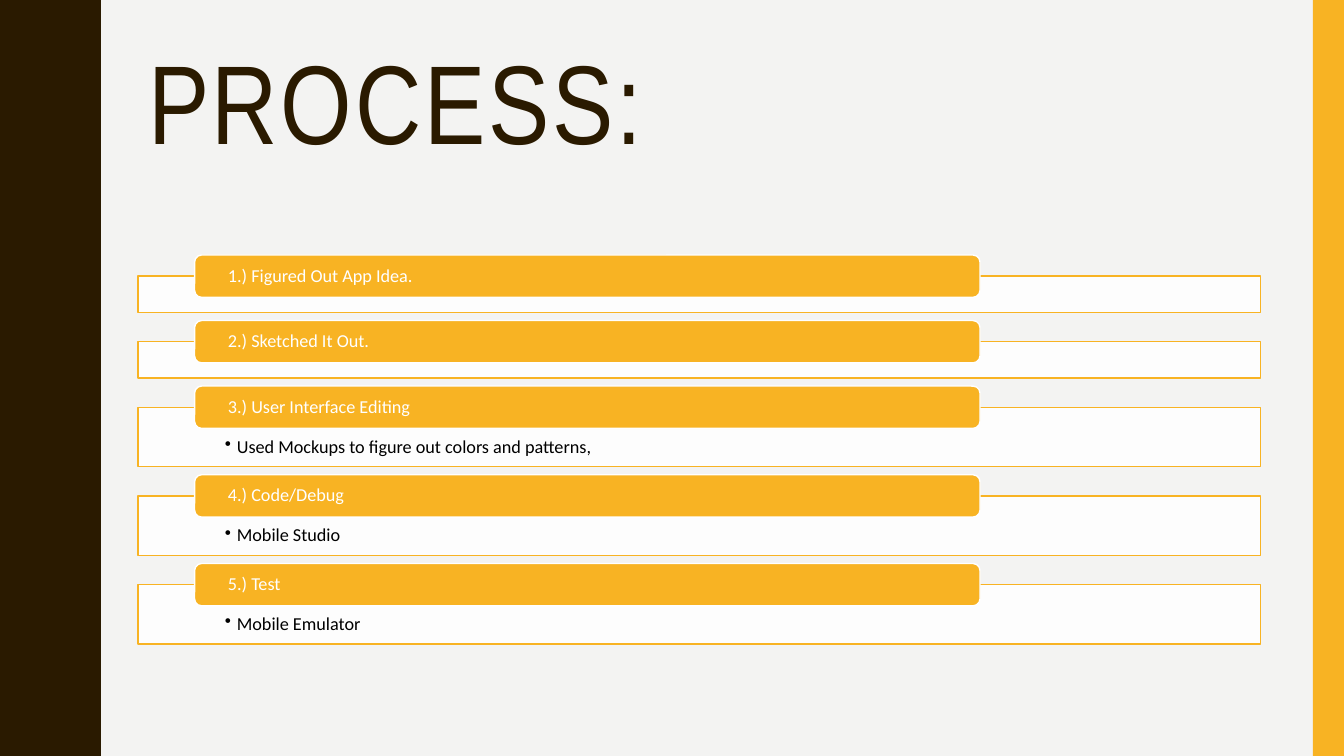
from dataclasses import dataclass

from lxml import etree
from pptx import Presentation
from pptx import util as u
from pptx.dml.color import RGBColor
from pptx.enum import shapes, text
from pptx.oxml import ns


@dataclass(frozen=True)
class Theme:
    back: str = "F3F3F2"
    dark: str = "2A1A00"
    gold: str = "F8B323"
    white: str = "FFFFFF"
    black: str = "000000"
    head: str = "Arial Narrow"
    body: str = "Calibri"
    big: int = 80
    small: int = 13


T = Theme()
WIDE, HIGH = 13.33, 7.5
LEFT, SPAN = 1.37, 11.13
TOP, GAP = 2.74, 0.29
LIFT = 0.21  # how far a tab rises above its box

STEPS = [
    ("1.) Figured Out App Idea.", None),
    ("2.) Sketched It Out.", None),
    ("3.) User Interface Editing", "Used Mockups to figure out colors and patterns,"),
    ("4.) Code/Debug", "Mobile Studio"),
    ("5.) Test", "Mobile Emulator"),
]

# First half of one wave of the left edge, as (x, y)
WAVE = [
    (0.78, 0), (0.78, 0.07), (0.79, 0.14), (0.8, 0.2), (0.81, 0.25),
    (0.83, 0.29), (0.85, 0.33), (0.87, 0.38), (0.89, 0.42), (0.91, 0.46),
    (0.93, 0.5), (0.95, 0.55), (0.96, 0.61), (0.97, 0.68), (0.97, 0.75),
]
PERIOD = 1.5


def rgb(code):
    return RGBColor.from_string(code)


def paint(shape, fill, line=None):
    shape.shadow.inherit = False
    shape.fill.solid()
    shape.fill.fore_color.rgb = rgb(fill)
    if line:
        shape.line.color.rgb = rgb(line)
        shape.line.width = u.Pt(1)
    else:
        shape.line.fill.background()


def add_box(slide, kind, place, fill, line=None):
    shape = slide.shapes.add_shape(kind, *map(u.Inches, place))
    paint(shape, fill, line)
    return shape


def write(shape, words, font, size, color, inset, anchor):
    """Fill a shape with one left-aligned line and return its paragraph and run."""
    frame = shape.text_frame
    frame.word_wrap = True
    frame.vertical_anchor = anchor
    (frame.margin_left, frame.margin_top,
     frame.margin_right, frame.margin_bottom) = map(u.Inches, inset)
    para = frame.paragraphs[0]
    para.alignment = text.PP_ALIGN.LEFT
    para.line_spacing = 0.9
    run = para.add_run()
    run.text = words
    run.font.name = font
    run.font.size = u.Pt(size)
    run.font.color.rgb = rgb(color)
    return para, run


def add_bullet(para):
    props = para._p.get_or_add_pPr()
    props.set("marL", str(u.Inches(0.12)))
    props.set("indent", str(u.Inches(-0.12)))
    etree.SubElement(props, ns.qn("a:buChar")).set("char", "•")


def add_wave(slide):
    crest = WAVE + [(x, PERIOD - y) for x, y in WAVE[-2::-1]]
    edge = [(x, y + i * PERIOD) for i in range(5) for x, y in crest]
    pen = slide.shapes.build_freeform(0, 0, scale=u.Inches(1))
    pen.add_line_segments(edge + [(0, HIGH)], close=True)
    paint(pen.convert_to_shape(), T.dark)


def add_title(slide, words):
    box = slide.shapes.add_textbox(*map(u.Inches, (LEFT, 0.42, SPAN, 1.63)))
    _, run = write(box, words, T.head, T.big, T.dark,
                   (0.1, 0.05, 0.1, 0.05), text.MSO_ANCHOR.TOP)
    run.font._element.set("spc", "200")


def add_step(slide, top, tall, label, note):
    kind = shapes.MSO_SHAPE
    box = add_box(slide, kind.RECTANGLE, (LEFT, top, SPAN, tall), T.white, T.gold)
    color = box.fill._xPr.find(".//" + ns.qn("a:srgbClr"))
    etree.SubElement(color, ns.qn("a:alpha")).set("val", "90000")
    if note:
        para, _ = write(box, note, T.body, T.small, T.black,
                        (0.86, 0.3, 0.86, 0.1), text.MSO_ANCHOR.TOP)
        add_bullet(para)
    tab = add_box(slide, kind.ROUNDED_RECTANGLE,
                  (LEFT + 0.56, top - LIFT, 7.79, 0.42), T.gold, T.white)
    write(tab, label, T.body, T.small, T.white,
          (0.31, 0, 0.31, 0), text.MSO_ANCHOR.MIDDLE)


def main():
    deck = Presentation()
    deck.slide_width, deck.slide_height = u.Inches(WIDE), u.Inches(HIGH)
    slide = deck.slides.add_slide(deck.slide_layouts[6])

    # Backdrop
    slide.background.fill.solid()
    slide.background.fill.fore_color.rgb = rgb(T.back)
    add_wave(slide)
    add_box(slide, shapes.MSO_SHAPE.RECTANGLE, (13.02, 0, 0.31, HIGH), T.gold)

    # Title and the stack of steps
    add_title(slide, "PROCESS:")
    top = TOP
    for label, note in STEPS:
        tall = 0.59 if note else 0.36
        add_step(slide, top, tall, label, note)
        top += tall + GAP

    deck.save("out.pptx")


if __name__ == "__main__":
    main()
